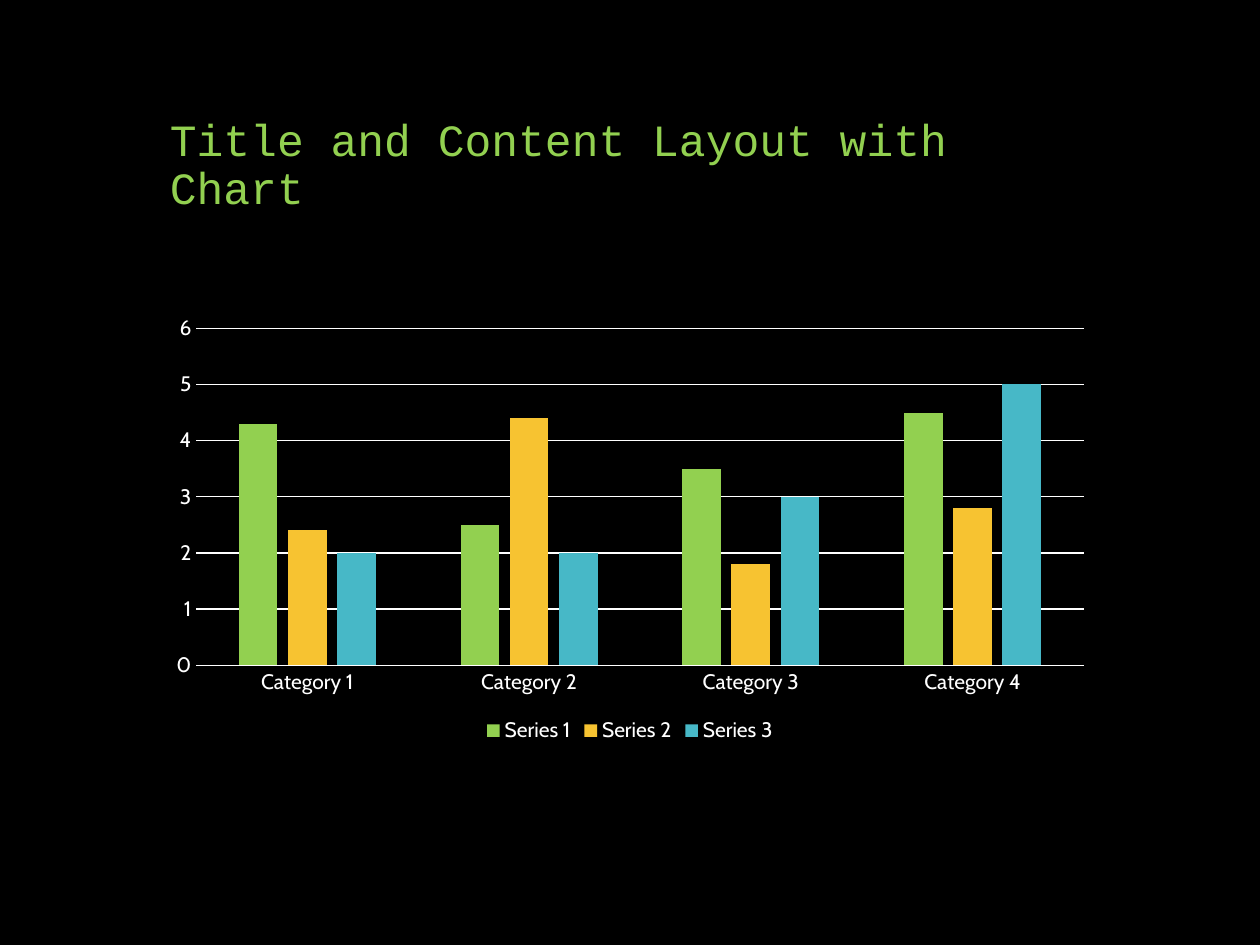
from pptx import Presentation
from pptx.chart.data import CategoryChartData
from pptx.dml.color import RGBColor
from pptx.enum import chart as ch, text as tx
from pptx.util import Pt

TITLE = "Title and Content Layout with Chart"
CATS = ["Category 1", "Category 2", "Category 3", "Category 4"]
SERIES = [
    ("Series 1", (4.3, 2.5, 3.5, 4.5), "92D050"),
    ("Series 2", (2.4, 4.4, 1.8, 2.8), "F7C331"),
    ("Series 3", (2, 2, 3, 5), "47B8C7"),
]
BLACK, WHITE, GREEN = "000000", "FFFFFF", "92D050"
LEFT, WIDTH = 90, 540


def paint(fill, color):
    fill.solid()
    fill.fore_color.rgb = RGBColor.from_string(color)


def style(font, name, size, color):
    font.name = name
    font.size = Pt(size)
    font.bold = False
    paint(font.fill, color)


def rule(line):
    paint(line.fill, WHITE)
    line.width = Pt(0.75)


def add_title(slide):
    box = slide.shapes.add_textbox(Pt(LEFT), Pt(36), Pt(WIDTH), Pt(90))
    frame = box.text_frame
    frame.word_wrap = True
    frame.vertical_anchor = tx.MSO_ANCHOR.BOTTOM
    para = frame.paragraphs[0]
    para.line_spacing = 0.9
    run = para.add_run()
    run.text = TITLE
    style(run.font, "Courier New", 25.5, GREEN)


def add_bars(slide):
    data = CategoryChartData()
    data.categories = CATS
    for name, vals, _ in SERIES:
        data.add_series(name, vals)
    chart = slide.shapes.add_chart(
        ch.XL_CHART_TYPE.COLUMN_CLUSTERED,
        Pt(LEFT), Pt(175.5), Pt(WIDTH), Pt(252), data).chart
    chart.has_title = False
    style(chart.font, "Cabin", 10, WHITE)

    plot = chart.plots[0]
    plot.vary_by_categories = False
    plot.gap_width = 219
    plot.overlap = -27
    for bar, (_, _, color) in zip(plot.series, SERIES):
        paint(bar.format.fill, color)
        bar.invert_if_negative = False

    for axis in (chart.category_axis, chart.value_axis):
        axis.major_tick_mark = ch.XL_TICK_MARK.NONE
        axis.minor_tick_mark = ch.XL_TICK_MARK.NONE
        style(axis.tick_labels.font, "Cabin", 12, WHITE)
    rule(chart.category_axis.format.line)
    chart.value_axis.format.line.fill.background()
    rule(chart.value_axis.major_gridlines.format.line)

    chart.has_legend = True
    chart.legend.position = ch.XL_LEGEND_POSITION.BOTTOM
    chart.legend.include_in_layout = False
    style(chart.legend.font, "Cabin", 12, WHITE)


def main():
    deck = Presentation()
    deck.slide_width, deck.slide_height = Pt(720), Pt(540)
    slide = deck.slides.add_slide(deck.slide_layouts[6])
    paint(slide.background.fill, BLACK)
    add_title(slide)
    add_bars(slide)
    deck.save("out.pptx")


if __name__ == "__main__":
    main()
